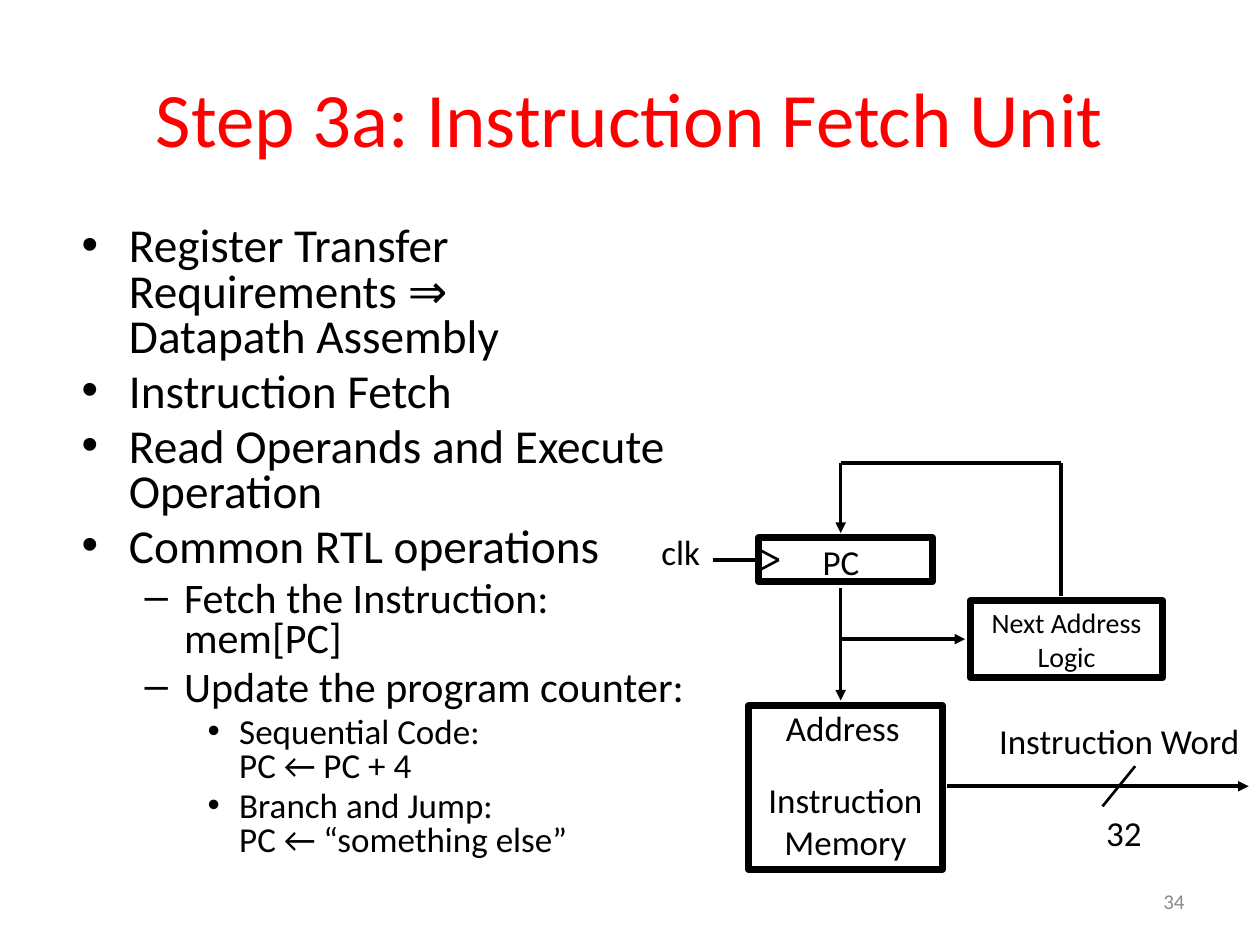
from lxml.etree import SubElement
from pptx import Presentation
from pptx.dml.color import RGBColor
from pptx.enum.shapes import MSO_CONNECTOR, MSO_SHAPE
from pptx.enum.text import MSO_ANCHOR, PP_ALIGN
from pptx.oxml.ns import qn
from pptx.util import Pt

COLORS = {"title": "FF0000", "ink": "000000", "number": "898989"}
LEFT_SIDE = 1

# Per outline level: text size, left indent, hanging indent, bullet
LEVELS = [(27, 27, 27, "•"), (24, 58.5, 22.5, "–"), (20, 90, 18, "•")]
OUTLINE = [
    (0, ["Register Transfer Requirements ⇒", "Datapath Assembly"]),
    (0, ["Instruction Fetch"]),
    (0, ["Read Operands and Execute Operation"]),
    (0, ["Common RTL operations"]),
    (1, ["Fetch the Instruction:", "mem[PC]"]),
    (1, ["Update the program counter:"]),
    (2, ["Sequential Code:", "PC ← PC + 4"]),
    (2, ["Branch and Jump:", "PC ← “something else”"]),
]


class SlideWriter:
    """Holds the style and the slide being drawn; lengths are in points."""

    def __init__(self, slide, font="Calibri"):
        self.slide = slide
        self.shapes = slide.shapes
        self.font = font

    def span(self, para, text, size, color="ink"):
        span = para.add_run()
        span.text = text
        span.font.name = self.font
        span.font.size = Pt(size)
        span.font.color.rgb = RGBColor.from_string(COLORS[color])

    def title(self, text, place, size=44):
        box = self.shapes.title
        box.left, box.top, box.width, box.height = map(Pt, place)
        box.text_frame.vertical_anchor = MSO_ANCHOR.MIDDLE
        para = box.text_frame.paragraphs[0]
        para.alignment = PP_ALIGN.CENTER
        self.span(para, text, size, "title")

    def label(self, lines, place, size=20, align=PP_ALIGN.LEFT, color="ink",
              anchor=MSO_ANCHOR.TOP):
        frame = self.shapes.add_textbox(*map(Pt, place)).text_frame
        frame.word_wrap = False
        frame.vertical_anchor = anchor
        for index, line in enumerate(lines):
            para = frame.add_paragraph() if index else frame.paragraphs[0]
            para.alignment = align
            self.span(para, line, size, color)

    def outline(self, items, place):
        frame = self.shapes.add_textbox(*map(Pt, place)).text_frame
        frame.word_wrap = True
        for index, (level, lines) in enumerate(items):
            size, indent, hanging, bullet = LEVELS[level]
            para = frame.add_paragraph() if index else frame.paragraphs[0]
            para.level = level
            para.line_spacing = 0.8
            para.space_before = Pt(size * 0.2)
            self.bullet(para, indent, hanging, bullet)
            for number, line in enumerate(lines):
                if number:
                    para.add_line_break()
                self.span(para, line, size)

    def bullet(self, para, indent, hanging, character):
        properties = para._p.get_or_add_pPr()
        properties.set("marL", str(Pt(indent)))
        properties.set("indent", str(-Pt(hanging)))
        SubElement(properties, qn("a:buFont"), typeface="Arial")
        SubElement(properties, qn("a:buChar"), char=character)

    def block(self, place):
        block = self.shapes.add_shape(MSO_SHAPE.RECTANGLE, *map(Pt, place))
        block.shadow.inherit = False
        block.fill.background()
        block.line.color.rgb = RGBColor.from_string(COLORS["ink"])
        block.line.width = Pt(4)
        return block

    def line(self, start, end, width=2, arrow=False):
        line = self.shapes.add_connector(
            MSO_CONNECTOR.STRAIGHT, *map(Pt, (*start, *end)))
        line.line.color.rgb = RGBColor.from_string(COLORS["ink"])
        line.line.width = Pt(width)
        if arrow:
            SubElement(line.line._get_or_add_ln(), qn("a:tailEnd"), type="triangle")
        SubElement(line._element.spPr, qn("a:effectLst"))
        return line


def draw_memory(writer):
    writer.block((427.7, 403.2, 110.9, 93.6))
    writer.label(["Address"], (442, 400.3, 82.8, 31))
    writer.label(["Instruction", "Memory"], (430.6, 441.4, 105.1, 55.4),
                 align=PP_ALIGN.CENTER)
    writer.line((541.4, 449.3), (713.5, 449.3), arrow=True)
    writer.line((648.7, 437.8), (630, 460.8), width=1.5)
    writer.label(["32"], (625, 460.1, 34.6, 31.7))
    writer.label(["Instruction Word"], (563.8, 407.5, 156.2, 31.7))


def draw_program_counter(writer):
    counter = writer.block((433.4, 307.4, 99.4, 25.2))
    clock = writer.line((433.4, 320), (407.5, 320))
    clock.begin_connect(counter, LEFT_SIDE)
    writer.label(["PC"], (463, 305.3, 36, 31.7))
    writer.label(["clk"], (370.8, 299.5, 37.4, 31.7))
    tip = (445, 320)
    for corner_y in (313.9, 326.1):
        writer.line((433.4, corner_y), tip, width=1.5)


def draw_next_address(writer):
    writer.block((554.4, 343.4, 110.2, 43.9))
    writer.label(["Next Address", "Logic"], (558.7, 342.7, 101.5, 46.1),
                 size=16, align=PP_ALIGN.CENTER)


def draw_address_loop(writer):
    counter_x, logic_x, top_y = 480.4, 606.2, 264.7
    writer.line((counter_x, 336.2), (counter_x, 400.3), arrow=True)
    writer.line((counter_x, 365.2), (551.5, 365.2), arrow=True)
    writer.line((counter_x, top_y), (counter_x, 304.6), arrow=True)
    writer.line((counter_x, top_y), (logic_x, top_y))
    writer.line((logic_x, top_y), (logic_x, 340.6))


def main():
    deck = Presentation()
    deck.slide_width, deck.slide_height = Pt(720), Pt(540)
    page = deck.slides.add_slide(deck.slide_layouts[5])
    writer = SlideWriter(page)
    writer.title("Step 3a: Instruction Fetch Unit", (36, 21.6, 648, 90))
    writer.outline(OUTLINE, (39.6, 126, 380.2, 383.8))
    draw_memory(writer)
    draw_program_counter(writer)
    draw_next_address(writer)
    draw_address_loop(writer)
    writer.label(["34"], (516.2, 500.4, 167.8, 28.8), size=12,
                 align=PP_ALIGN.RIGHT, color="number", anchor=MSO_ANCHOR.MIDDLE)
    deck.save("out.pptx")


if __name__ == "__main__":
    main()
